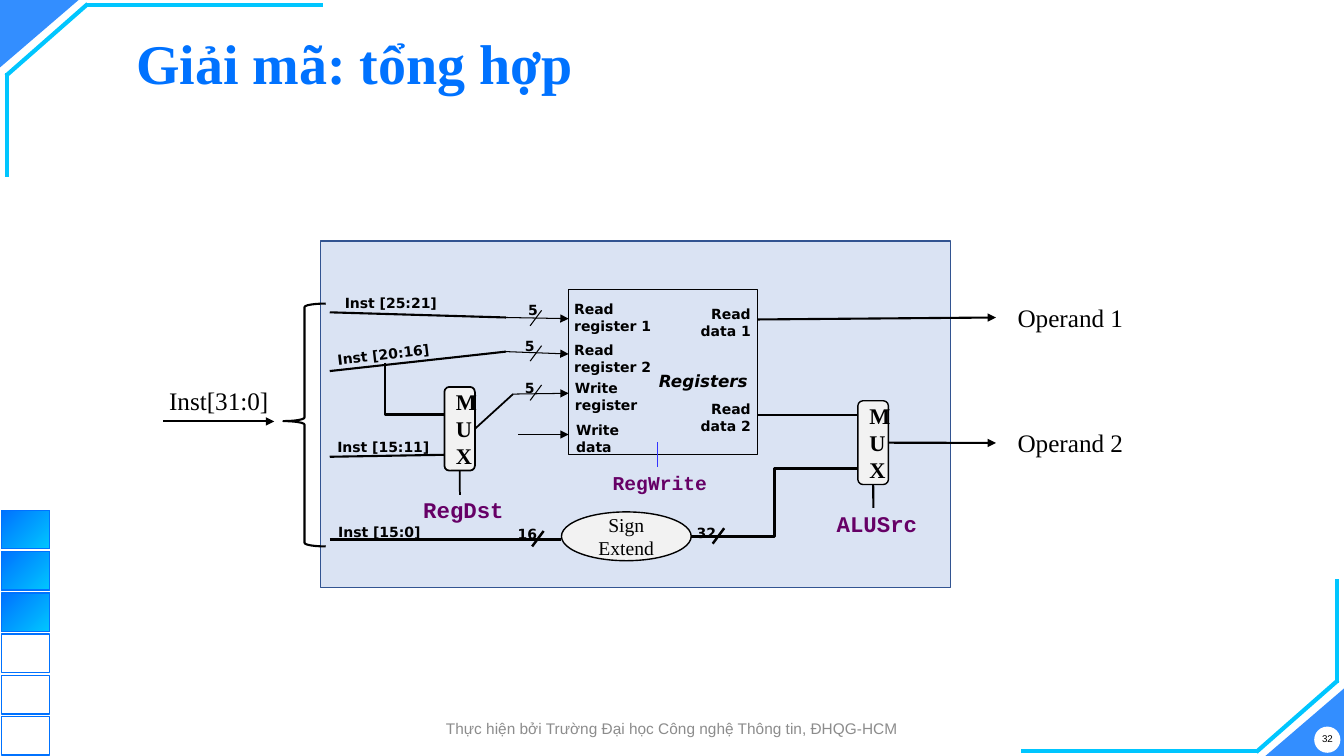
from lxml.etree import SubElement as Sub
from pptx import Presentation
from pptx.dml.color import RGBColor as Rgb
from pptx.enum.shapes import MSO_CONNECTOR as Link, MSO_SHAPE as Kind
from pptx.enum.text import MSO_ANCHOR as Anchor, PP_ALIGN as Align
from pptx.oxml.ns import qn
from pptx.util import Cm, Pt

# Content: all lengths in centimetres
WIDE, HIGH = 33.87, 19.05

LABELS = [  # text, style, left, top, width, height, align
    ("Giải mã: tổng hợp", "title", 3.18, 0.43, 29.21, 2.49, "l"),
    ("32", "page", 33.05, 18.21, 0.81, 0.81, "c"),
    ("Thực hiện bởi Trường Đại học Công nghệ Thông tin, ĐHQG-HCM",
     "foot", 10.13, 17.98, 13.61, 0.74, "c"),
    ("Read\nregister 1", "pin", 14.22, 7.44, 2.7, 1.09, "l"),
    ("Read\nregister 2", "pin", 14.22, 8.48, 2.7, 1.09, "l"),
    ("Write\nregister", "pin", 14.24, 9.45, 2.7, 1.09, "l"),
    ("Write\ndata", "pin", 14.27, 10.49, 2.7, 1.09, "l"),
    ("Read\ndata 1", "pin", 16.67, 7.57, 2.5, 1.09, "r"),
    ("Read\ndata 2", "pin", 16.67, 9.96, 2.5, 1.09, "r"),
    ("Registers", "bank", 16.2, 9.22, 3.05, 0.76, "c"),
    ("5", "pin", 13.03, 7.47, 0.8, 0.66, "c"),
    ("5", "pin", 12.95, 8.38, 0.8, 0.66, "c"),
    ("5", "pin", 12.95, 9.45, 0.8, 0.66, "c"),
    ("16", "pin", 12.69, 13.11, 1.2, 0.66, "c"),
    ("32", "pin", 17.2, 13.08, 1.2, 0.66, "c"),
    ("Inst [25:21]", "pin", 8.35, 7.29, 3, 0.66, "c"),
    ("Inst [20:16]", "tilt", 8.16, 8.59, 3, 0.66, "c"),
    ("Inst [15:11]", "pin", 8.16, 10.92, 3, 0.66, "c"),
    ("Inst [15:0]", "pin", 8.06, 13.06, 3, 0.66, "c"),
    ("RegDst", "ctrl", 10.18, 12.37, 3, 0.91, "c"),
    ("ALUSrc", "ctrl", 20.6, 12.73, 3, 0.91, "c"),
    ("RegWrite", "write", 14.57, 11.73, 3.5, 0.84, "r"),
    ("Operand 1", "port", 24.64, 7.47, 4.67, 1.04, "c"),
    ("Operand 2", "port", 24.64, 10.62, 4.67, 1.04, "c"),
    ("Inst[31:0]", "port", 3.18, 9.58, 4.67, 1.04, "c"),
]

SHAPES = {  # kind, left, top, width, height, fill, line, points, text, style
    "panel": (Kind.RECTANGLE, 8.08, 6.07, 15.88, 8.74, "panel", "edge", 1, "", ""),
    "regs": (Kind.RECTANGLE, 14.33, 7.29, 4.75, 4.16, None, "ink", 0.75, "", ""),
    "dst": (Kind.ROUNDED_RECTANGLE, 11.2, 9.75, 0.77, 2.11,
            "part", "ink", 1.25, "MUX", "mux"),
    "src": (Kind.ROUNDED_RECTANGLE, 21.62, 10.1, 0.77, 2.11,
            "part", "ink", 1, "MUX", "mux"),
    "sign": (Kind.OVAL, 14.15, 12.9, 3.27, 1.23,
             "part", "ink", 1, "Sign Extend", "sign"),
    "brace": (Kind.LEFT_BRACE, 7.14, 7.65, 1.07, 6.12, None, "ink", 1.5, "", ""),
}

WIRES = [  # x1, y1, x2, y2, points, colour
    (16.56, 11.15, 16.56, 11.76, 0.75, "wire"),
    (19.1, 10.46, 21.62, 10.46, 1.5, "ink"),
    (8.31, 7.87, 12.75, 8, 1.5, "ink"),
    (8.31, 9.35, 12.75, 8.86, 1.5, "ink"),
    (8.31, 11.51, 11.2, 11.46, 1.5, "ink"),
    (8.31, 13.59, 14.15, 13.59, 1.75, "ink"),
]
ARROWS = [  # x1, y1, x2, y2, points
    (12.75, 8, 14.33, 8.03, 0.75),
    (12.75, 8.86, 14.33, 8.92, 0.75),
    (12.93, 9.93, 14.33, 9.91, 0.75),
    (13.06, 10.95, 14.33, 10.95, 0.75),
    (19.1, 8.05, 25.1, 8, 1.5),
    (4.11, 10.62, 6.91, 10.62, 1.5),
]
JOINS = [  # shape, side, end x, end y, points, arrow
    ("dst", 3, 12.93, 9.93, 1.25, False),
    ("dst", 2, 11.59, 12.47, 1.25, False),
    ("src", 2, 22.01, 12.8, 1.5, False),
    ("src", 3, 25.1, 11.16, 1.5, True),
]
SLASHES = [(13.36, 7.82, 0.75), (13.36, 8.71, 0.75), (13.36, 9.7, 0.75),
           (13.41, 13.38, 1.75), (17.96, 13.31, 1.75)]
BRANCH = [(9.7, 9.14), (9.7, 10.44), (11.2, 10.44)]
FRAME = [(8.13, 0.13, 2.16, 0.13), (2.21, 0.1, 0.15, 1.91), (0.18, 4.45, 0.18, 1.85)]

THEME = {
    "color": {"blue": "0072FF", "cyan": "00C6FF", "ink": "000000", "gray": "8C8C8C",
              "white": "FFFFFF", "panel": "DAE3F3", "edge": "325491",
              "part": "F2F2F2", "plum": "660066", "wire": "3333FF"},
    "type": {  # font, colour
        "title": ({"name": "Times New Roman", "size": Pt(40), "bold": True}, "blue"),
        "page": ({"name": "Arial", "size": Pt(7)}, "ink"),
        "foot": ({"name": "Arial", "size": Pt(11)}, "gray"),
        "pin": ({"name": "DejaVu Sans", "size": Pt(10), "bold": True}, "ink"),
        "tilt": ({"name": "DejaVu Sans", "size": Pt(10), "bold": True}, "ink"),
        "bank": ({"name": "DejaVu Sans", "size": Pt(12), "bold": True,
                  "italic": True}, "ink"),
        "ctrl": ({"name": "Courier New", "size": Pt(16), "bold": True}, "plum"),
        "write": ({"name": "Courier New", "size": Pt(14), "bold": True}, "plum"),
        "port": ({"name": "Times New Roman", "size": Pt(18)}, "ink"),
        "mux": ({"name": "Times New Roman", "size": Pt(16), "bold": True}, "ink"),
        "sign": ({"name": "Times New Roman", "size": Pt(14)}, "ink"),
    },
    "align": {"l": Align.LEFT, "c": Align.CENTER, "r": Align.RIGHT},
}
MIDDLE = {"title", "page", "foot", "port", "mux", "sign"}
WRAP = {"title", "foot", "port", "mux", "sign"}

deck = Presentation()
deck.slide_width, deck.slide_height = Cm(WIDE), Cm(HIGH)
slide = deck.slides.add_slide(deck.slide_layouts[6])
parts = slide.shapes


def tint(name):
    return Rgb.from_string(THEME["color"][name])


def write(box, text, style, side):
    frame = box.text_frame
    frame.word_wrap = style in WRAP
    frame.vertical_anchor = Anchor.MIDDLE if style in MIDDLE else Anchor.TOP
    frame.text = text
    font, color = THEME["type"][style]
    for para in frame.paragraphs:
        para.alignment = THEME["align"][side]
        if style == "title":
            para.line_spacing = 0.9
        for key, value in font.items():
            setattr(para.font, key, value)
        para.font.color.rgb = tint(color)


def ink(item, color, points):
    item.line.width = Pt(points)
    item.line.color.rgb = tint(color)


def draw(kind, x, y, w, h, fill, line=None, points=1):
    item = parts.add_shape(kind, Cm(x), Cm(y), Cm(w), Cm(h))
    item.shadow.inherit = False
    if fill:
        item.fill.solid()
        item.fill.fore_color.rgb = tint(fill)
    else:
        item.fill.background()
    if line:
        ink(item, line, points)
    else:
        item.line.fill.background()
    return item


def link(x1, y1, x2, y2, points, color="ink", arrow=False, kind=Link.STRAIGHT):
    item = parts.add_connector(kind, Cm(x1), Cm(y1), Cm(x2), Cm(y2))
    ink(item, color, points)
    props = item._element.spPr
    if arrow:
        Sub(props.find(qn("a:ln")), qn("a:tailEnd"), type="triangle")
    Sub(props, qn("a:effectLst"))
    return item


# Corner ornaments: the second is the first turned half round
for turn in (False, True):
    x, y = (WIDE - 1.98, HIGH - 1.7) if turn else (0, 0)
    wedge = draw(Kind.ISOSCELES_TRIANGLE, x, y, 1.98, 1.7, "blue")
    wedge.adjustments[0] = 1
    wedge.rotation = 0 if turn else 180
    shade = wedge._element.spPr.find(qn("a:solidFill"))[0]
    Sub(shade, qn("a:alpha"), val="80000")
    for x1, y1, x2, y2 in FRAME:
        ends = (WIDE - x1, HIGH - y1, WIDE - x2, HIGH - y2) if turn else (x1, y1, x2, y2)
        link(*ends, 3, "cyan")
draw(Kind.OVAL, 33.12, 18.31, 0.66, 0.66, "white")

# Progress blocks: three filled, three empty
for step in range(6):
    block = draw(Kind.RECTANGLE, 0.04, 12.86 + 1.04 * step, 1.21, 0.97, None, "blue", 1)
    if step < 3:
        block.fill.gradient()
        block.fill.gradient_angle = 315
        for stop, (name, place) in zip(block.fill.gradient_stops,
                                       (("blue", 0), ("cyan", 1))):
            stop.color.rgb, stop.position = tint(name), place

# Datapath blocks
made = {}
for name, (*form, text, style) in SHAPES.items():
    made[name] = draw(*form)
    if text:
        write(made[name], text, style, "c")
made["brace"].adjustments[1] = 0.484

# Wires
for wire in WIRES:
    link(*wire)
for arrow in ARROWS:
    link(*arrow, arrow=True)
for name, side, x, y, points, arrow in JOINS:
    link(x, y, x, y, points, arrow=arrow).begin_connect(made[name], side)
for x, y, points in SLASHES:
    link(x + 0.29, y, x, y + 0.39, points)
link(17.42, 13.52, 21.62, 11.81, 1.75, kind=Link.ELBOW)
start, *rest = [(Cm(x), Cm(y)) for x, y in BRANCH]
pen = parts.build_freeform(*start)
pen.add_line_segments(rest, close=False)
branch = pen.convert_to_shape()
branch.shadow.inherit = False
branch.fill.background()
ink(branch, "ink", 1.75)

# Text
for text, style, x, y, w, h, side in LABELS:
    box = parts.add_textbox(Cm(x), Cm(y), Cm(w), Cm(h))
    write(box, text, style, side)
    if style == "tilt":
        box.rotation = 353.4

deck.save("out.pptx")
